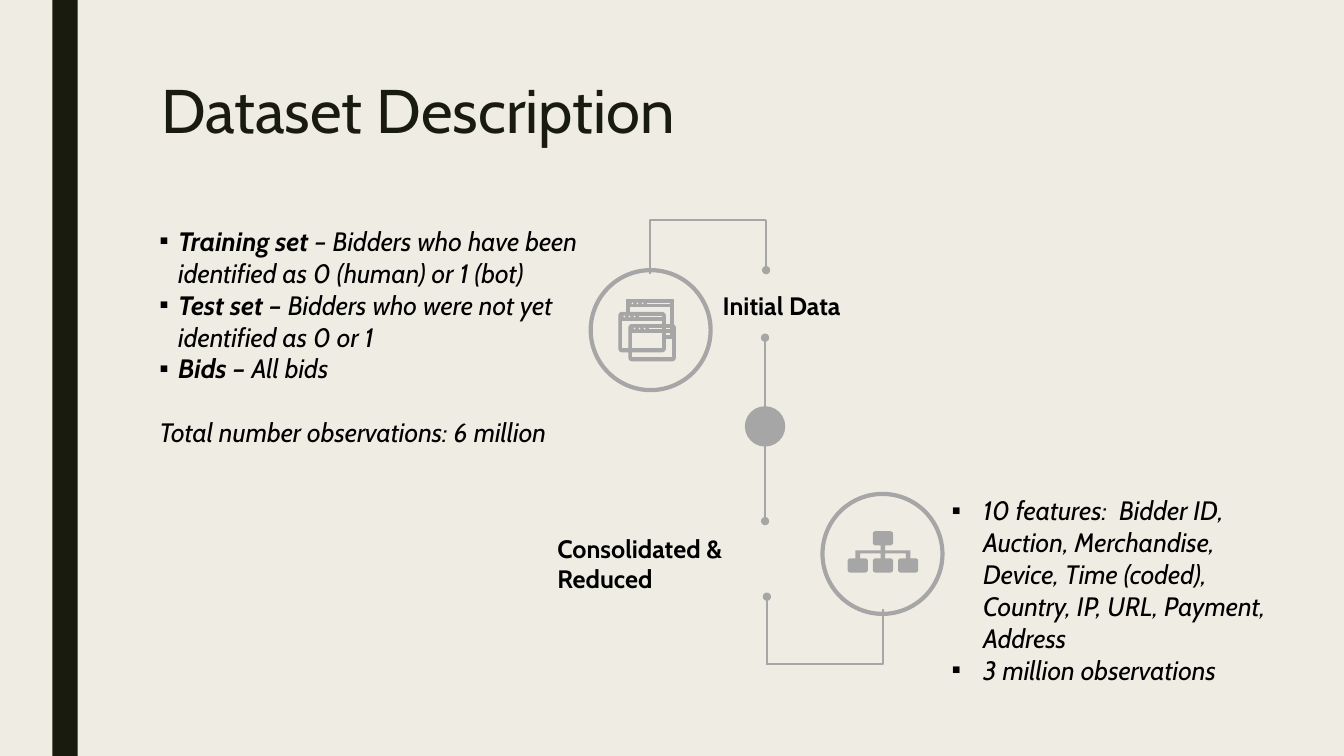
"""Build the Dataset Description slide on a grid of 160 columns by 90 rows."""
from dataclasses import dataclass
from math import cos, pi, sin

from lxml import etree
from pptx import Presentation
from pptx import util as u
from pptx.dml.color import RGBColor
from pptx.enum import shapes, text
from pptx.oxml import ns

COLUMNS, ROWS = 160, 90
CELL = u.Inches(1) // 12
Point = tuple[float, float]
Contour = list[Point]


@dataclass(frozen=True)
class Theme:
    font: str = "Cabin"
    paper: RGBColor = RGBColor(0xEF, 0xED, 0xE3)
    dark: RGBColor = RGBColor(0x19, 0x1B, 0x0E)
    ink: RGBColor = RGBColor(0, 0, 0)
    gray: RGBColor = RGBColor(0xA6, 0xA6, 0xA6)
    title_size: float = 44
    label_size: float = 18
    body_size: float = 19
    thin: float = 0.75
    line: float = 1.5
    ring: float = 3


@dataclass(frozen=True)
class Area:
    left: float
    top: float
    width: float
    height: float


@dataclass(frozen=True)
class Item:
    lead: str
    rest: str
    bullet: bool = True
    gap: float = 0


@dataclass(frozen=True)
class BulletList:
    area: Area
    margin: float
    hang: float
    level: int
    items: tuple[Item, ...]


@dataclass(frozen=True)
class Label:
    area: Area
    words: str


@dataclass(frozen=True)
class Link:
    start: Point
    end: Point
    head: bool = False
    tail: bool = False
    bent: bool = False


THEME = Theme()
SIDE_BAR = Area(6.24, 0, 3, ROWS)
TITLE = Label(Area(18, 9, 126, 19.44), "Dataset Description")
LISTS = (
    BulletList(Area(18.96, 26.76, 55.92, 26.88), 2.25, 2.25, 0, (
        Item("Training set ", "– Bidders who have been identified as 0 (human) or 1 (bot)"),
        Item("Test set – ", "Bidders who were not yet identified as 0 or 1"),
        Item("Bids – ", "All bids"),
        Item("", "Total number observations: 6 million", bullet=False, gap=22.8))),
    BulletList(Area(107.28, 58.8, 45.6, 23.04), 9.75, 3.75, 1, (
        Item("", "10 features:  Bidder ID, Auction, Merchandise, Device, Time (coded), "
                 "Country, IP, URL, Payment, Address"),
        Item("", "3 million observations"))),
)
LABELS = (Label(Area(86.04, 34.56, 15, 3.6), "Initial Data"),
          Label(Area(66.36, 63.48, 30, 7.2), "Consolidated & Reduced"))
LINKS = (
    Link((91.3, 71.04), (91.3, 79.08), head=True),
    Link((91.08, 50.76), (91.08, 62.04), head=True, tail=True),
    Link((91.08, 40.2), (91.08, 50.76), head=True, tail=True),
    Link((91.2, 26.16), (91.2, 32.16), tail=True),
    Link((91.2, 79.08), (105.12, 72.48), bent=True),
    Link((91.2, 26.16), (77.4, 32.64), bent=True),
)
DISC = Area(88.8, 48.48, 4.56, 4.56)
RINGS = (Area(97.92, 58.8, 14.28, 14.28), Area(70.32, 32.16, 14.28, 14.28))
MIDDLE_WINDOW = Area(73.68, 37.2, 5.52, 4.68)
BACK_WINDOW = Area(74.64, 35.64, 5.52, 4.68)
FRONT_WINDOW = Area(74.88, 38.64, 5.52, 4.32)
CHART_ICON = Area(100.92, 63.24, 8.4, 4.92)


def cells(*values: float) -> list[int]:
    """Turn grid cells into slide lengths."""
    return [u.Emu(round(value * CELL)) for value in values]


def place(box, area: Area) -> None:
    """Move a box to its area."""
    box.left, box.top, box.width, box.height = cells(area.left, area.top, area.width, area.height)


def set_font(para, size: float, color: RGBColor, bold=None, italic=None) -> None:
    """Set the font shared by a whole paragraph."""
    font = para.font
    font.name, font.size, font.bold, font.italic = THEME.font, u.Pt(size), bold, italic
    font.color.rgb = color


def set_frame(frame, inset: float, anchor) -> None:
    """Set wrapping, margins and anchor of a text frame."""
    frame.word_wrap, frame.auto_size = True, text.MSO_AUTO_SIZE.NONE
    frame.vertical_anchor = anchor
    frame.margin_left = frame.margin_right = u.Inches(inset)
    frame.margin_top = frame.margin_bottom = u.Inches(inset / 2)


def draw_title(box, title: Label) -> None:
    """Fill the title placeholder."""
    place(box, title.area)
    set_frame(box.text_frame, 0.1, text.MSO_ANCHOR.TOP)
    para = box.text_frame.paragraphs[0]
    para.text, para.alignment, para.line_spacing = title.words, text.PP_ALIGN.LEFT, 0.89
    set_font(para, THEME.title_size, THEME.dark)


def draw_list(box, block: BulletList) -> None:
    """Fill a body placeholder with list items."""
    place(box, block.area)
    frame = box.text_frame
    set_frame(frame, 0, text.MSO_ANCHOR.TOP)
    for index, item in enumerate(block.items):
        para = frame.add_paragraph() if index else frame.paragraphs[0]
        para.level, para.space_before = block.level, u.Pt(item.gap)
        margin, hang = cells(block.margin, block.hang) if item.bullet else (0, 0)
        properties = para._p.get_or_add_pPr()
        properties.set("marL", str(margin))
        properties.set("indent", str(-hang))
        mark = etree.SubElement(properties, ns.qn("a:buChar" if item.bullet else "a:buNone"))
        if item.bullet:
            mark.set("char", "▪")
        set_font(para, THEME.body_size, THEME.ink, italic=True)
        for words, bold in ((item.lead, True), (item.rest, False)):
            if words:
                span = para.add_run()
                span.text, span.font.bold = words, bold


def draw_label(page, label: Label) -> None:
    """Write a bold stage label."""
    box = page.shapes.add_textbox(0, 0, 0, 0)
    place(box, label.area)
    set_frame(box.text_frame, 0, text.MSO_ANCHOR.MIDDLE)
    para = box.text_frame.paragraphs[0]
    para.text = label.words
    set_font(para, THEME.label_size, THEME.ink, bold=True)


def draw_link(page, link: Link) -> None:
    """Draw a straight or bent connector with round ends."""
    kind = shapes.MSO_CONNECTOR.ELBOW if link.bent else shapes.MSO_CONNECTOR.STRAIGHT
    line = page.shapes.add_connector(kind, *cells(*link.start, *link.end))
    line.line.color.rgb, line.line.width = THEME.gray, u.Pt(THEME.line)
    properties = line._element.spPr
    if link.bent:
        properties.find(ns.qn("a:prstGeom")).set("prst", "bentConnector2")
    for tag, shown in (("a:headEnd", link.head), ("a:tailEnd", link.tail)):
        if shown:
            etree.SubElement(line.line._get_or_add_ln(), ns.qn(tag)).set("type", "oval")
    etree.SubElement(properties, ns.qn("a:effectLst"))


def paint(shape, fill: RGBColor | None, line: float = 0) -> None:
    """Set fill and gray outline, without shadow."""
    shape.shadow.inherit = False
    if fill is None:
        shape.fill.background()
    else:
        shape.fill.solid()
        shape.fill.fore_color.rgb = fill
    if line:
        shape.line.color.rgb, shape.line.width = THEME.gray, u.Pt(line)
    else:
        shape.line.fill.background()


def draw_shape(page, kind, area: Area, fill: RGBColor | None, line: float = 0) -> None:
    """Draw a preset shape."""
    shape = page.shapes.add_shape(kind, 0, 0, 0, 0)
    place(shape, area)
    paint(shape, fill, line)


def rounded(left: float, top: float, width: float, height: float, radius: float = 0) -> Contour:
    """Outline a rectangle with rounded corners."""
    centers = ((left + width - radius, top + height - radius), (left + radius, top + height - radius),
               (left + radius, top + radius), (left + width - radius, top + radius))
    steps = 4 if radius else 1
    return [(x + radius * cos(angle), y + radius * sin(angle))
            for corner, (x, y) in enumerate(centers)
            for angle in ((corner + step / 4) * pi / 2 for step in range(steps + 1))]


def window(area: Area, covered: bool = False) -> list[Contour]:
    """Outline a browser window, cut away at lower left when covered."""
    width, height, edge = area.width, area.height, 0.36
    if covered:
        frame = [[(0, 0), (width, 0), (width, height), (4.44, height), (4.44, height - edge),
                  (width - edge, height - edge), (width - edge, 0.9), (edge, 0.9), (edge, 1.56), (0, 1.56)]]
    else:
        frame = [rounded(0, 0, width, height, edge),
                 rounded(edge, 0.9, width - 2 * edge, height - edge - 0.9)]
    dots = [rounded(0.48 + 0.6 * step, 0.3, 0.36, 0.36, 0.18) for step in range(3)]
    return frame + dots + [rounded(2.35, 0.34, width - edge - 2.35, 0.26)]


def hierarchy(area: Area) -> list[Contour]:
    """Outline a parent box above three child boxes."""
    wide, high, stem, pitch = 2.4, 1.68, 0.54, (area.width - 2.4) / 2
    low, inset = area.height - high, (wide - stem) / 2
    parts = [rounded(pitch, 0, wide, high, 0.3), rounded(pitch + inset, high, stem, 0.6),
             rounded(inset, 2.28, 2 * pitch + stem, 0.36)]
    for child in range(3):
        parts += [rounded(child * pitch + inset, 2.64, stem, 0.6),
                  rounded(child * pitch, low, wide, high, 0.3)]
    return parts


def draw_icon(page, area: Area, contours: list[Contour], line: float = 0) -> None:
    """Draw closed contours as one gray shape."""
    placed = [[cells(area.left + x, area.top + y) for x, y in contour] for contour in contours]
    builder = page.shapes.build_freeform(*placed[0][0])
    for index, contour in enumerate(placed):
        if index:
            builder.move_to(*contour[0])
        builder.add_line_segments(contour[1:], close=True)
    paint(builder.convert_to_shape(), THEME.gray, line)


def main() -> None:
    """Build and save the deck."""
    deck = Presentation()
    deck.slide_width, deck.slide_height = cells(COLUMNS, ROWS)
    page = deck.slides.add_slide(deck.slide_layouts.get_by_name("Two Content"))
    page.background.fill.solid()
    page.background.fill.fore_color.rgb = THEME.paper
    title, *bodies = page.placeholders
    draw_shape(page, shapes.MSO_SHAPE.RECTANGLE, SIDE_BAR, THEME.dark)
    draw_title(title, TITLE)
    for box, block in zip(bodies, LISTS):
        draw_list(box, block)
    for link in LINKS:
        draw_link(page, link)
    draw_shape(page, shapes.MSO_SHAPE.OVAL, DISC, THEME.gray, THEME.line)
    for label in LABELS:
        draw_label(page, label)
    for ring in RINGS:
        draw_shape(page, shapes.MSO_SHAPE.OVAL, ring, None, THEME.ring)
    draw_icon(page, CHART_ICON, hierarchy(CHART_ICON))
    for area in (MIDDLE_WINDOW, BACK_WINDOW, FRONT_WINDOW):
        draw_icon(page, area, window(area, covered=area is BACK_WINDOW), THEME.thin)
    deck.save("out.pptx")


if __name__ == "__main__":
    main()
